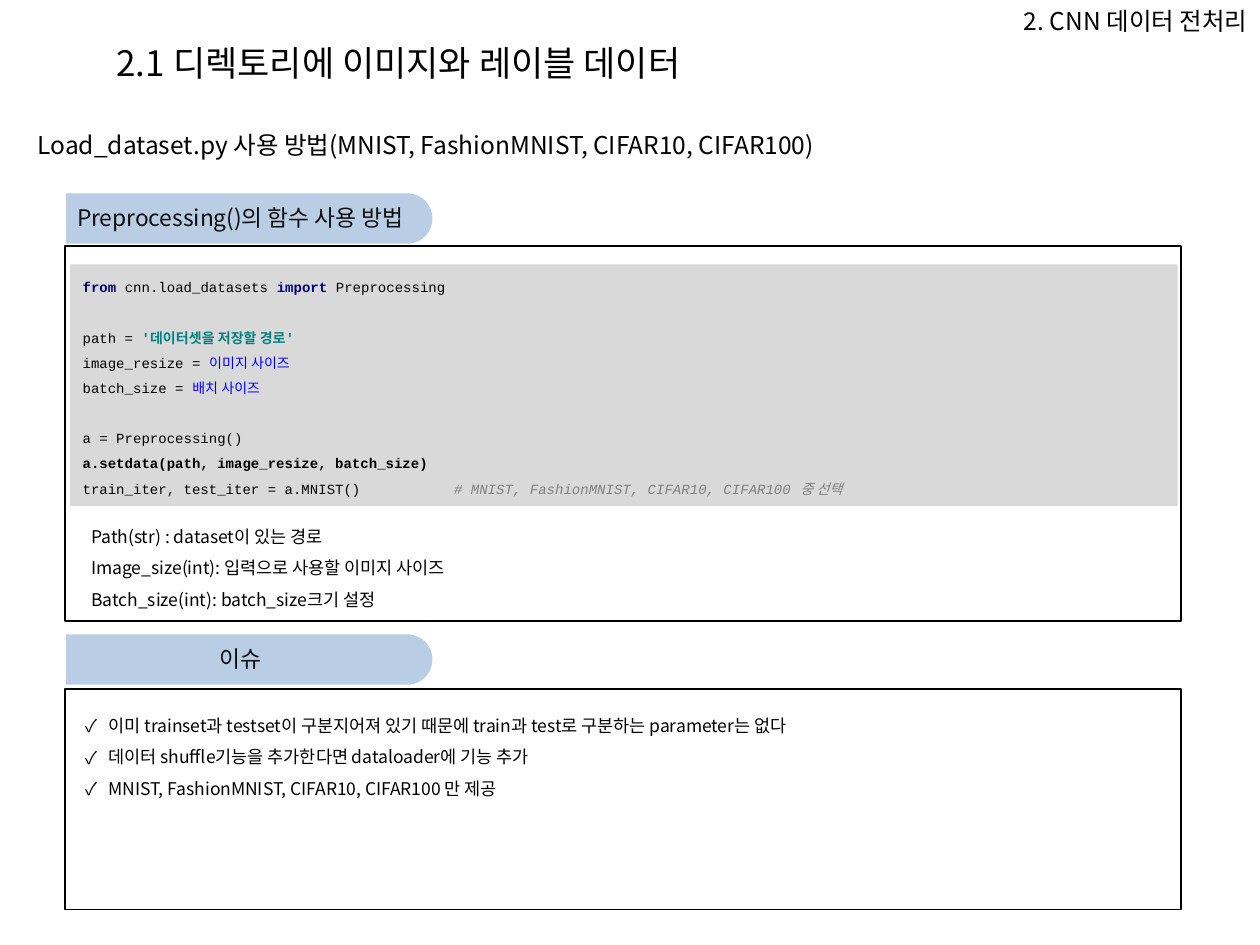
from dataclasses import dataclass
from typing import NamedTuple

from lxml.etree import SubElement
from pptx import Presentation
from pptx.dml.color import RGBColor
from pptx.enum.shapes import MSO_SHAPE as Preset
from pptx.enum.text import MSO_ANCHOR as Anchor, PP_ALIGN as Align
from pptx.oxml.ns import qn
from pptx.util import Pt


@dataclass(frozen=True)
class Theme:
    font: str = "Noto Sans CJK KR"
    code_font: str = "Courier New"
    title: int = 20
    heading: int = 14
    tab: int = 13
    body: int = 10
    code: int = 8
    black: str = "000000"
    tab_text: str = "0D0D0D"
    tab_fill: str = "B9CDE5"
    code_fill: str = "D9D9D9"
    keyword: str = "000080"
    string: str = "008080"
    value: str = "0000FF"
    comment: str = "808080"


THEME = Theme()


class Box(NamedTuple):
    left: float
    top: float
    width: float
    height: float

    def points(self):
        return [Pt(length) for length in self]

    def inside(self, left, top, width, height):
        return Box(self.left + left, self.top + top, width, height)


PLAIN = (THEME.black, False, False)
BOLD = (THEME.black, True, False)
KEYWORD = (THEME.keyword, True, False)
STRING = (THEME.string, True, False)
VALUE = (THEME.value, False, False)
COMMENT = (THEME.comment, False, True)

CODE = [
    [("from ", KEYWORD), ("cnn.load_datasets ", PLAIN), ("import ", KEYWORD), ("Preprocessing", PLAIN)],
    [],
    [("path = ", PLAIN), ("'데이터셋을 저장할 경로'", STRING)],
    [("image_resize = ", PLAIN), ("이미지 사이즈", VALUE)],
    [("batch_size = ", PLAIN), ("배치 사이즈", VALUE)],
    [],
    [("a = Preprocessing()", PLAIN)],
    [("a.setdata(path, image_resize, batch_size)", BOLD)],
    [("train_iter, test_iter = a.MNIST()           ", PLAIN),
     ("# MNIST, FashionMNIST, CIFAR10, CIFAR100 중 선택", COMMENT)],
]
PARAMETERS = [
    "Path(str) : dataset이 있는 경로",
    "Image_size(int): 입력으로 사용할 이미지 사이즈",
    "Batch_size(int): batch_size크기 설정",
]
ISSUES = [
    "이미 trainset과 testset이 구분지어져 있기 때문에 train과 test로 구분하는 parameter는 없다",
    "데이터 shuffle기능을 추가한다면 dataloader에 기능 추가",
    "MNIST, FashionMNIST, CIFAR10, CIFAR100 만 제공",
]


def style_run(run, size, color, font=THEME.font):
    run.font.size = Pt(size)
    run.font.color.rgb = RGBColor.from_string(color)
    run.font.name = font
    east_asian = SubElement(run.font._element, qn("a:ea"), typeface=THEME.font)
    run.font._element.find(qn("a:latin")).addnext(east_asian)


def remove_margins(frame):
    frame.margin_left = frame.margin_right = frame.margin_top = frame.margin_bottom = 0


def write_lines(frame, lines, size, color=THEME.black, align=Align.LEFT):
    frame.word_wrap = True
    frame.text = "\n".join(lines)
    for paragraph in frame.paragraphs:
        paragraph.alignment = align
        for run in paragraph.runs:
            style_run(run, size, color)


def add_text(slide, box, text, size, align=Align.LEFT, anchor=Anchor.TOP):
    frame = slide.shapes.add_textbox(*box.points()).text_frame
    frame.vertical_anchor = anchor
    write_lines(frame, [text], size, align=align)


def add_list(slide, box, lines, bullet=None):
    frame = slide.shapes.add_textbox(*box.points()).text_frame
    remove_margins(frame)
    write_lines(frame, lines, THEME.body)
    for paragraph in frame.paragraphs:
        paragraph.line_spacing = 1.5
        if bullet:
            properties = paragraph._p.get_or_add_pPr()
            indent = Pt(13.5)
            properties.set("marL", str(indent))
            properties.set("indent", str(-indent))
            SubElement(properties, qn("a:buFont"), typeface=THEME.font)
            SubElement(properties, qn("a:buChar"), char=bullet)


def add_block(shapes, preset, box, fill=None):
    shape = shapes.add_shape(preset, *box.points())
    shape.shadow.inherit = False
    if fill:
        shape.fill.solid()
        shape.fill.fore_color.rgb = RGBColor.from_string(fill)
        shape.line.fill.background()
    else:
        shape.fill.background()
        shape.line.color.rgb = RGBColor.from_string(THEME.black)
        shape.line.width = Pt(1)
    return shape


def add_tab(slide, box, text):
    group = slide.shapes.add_group_shape()
    upright = box.inside((box.width - box.height) / 2, (box.height - box.width) / 2,
                         box.height, box.width)
    pill = add_block(group.shapes, Preset.ROUND_2_SAME_RECTANGLE, upright, THEME.tab_fill)
    pill.adjustments[0] = 0.5
    pill.adjustments[1] = 0
    pill.rotation = 90
    label = add_block(group.shapes, Preset.RECTANGLE, box.inside(1, 0.4, 197.3, 26.6), THEME.tab_fill)
    remove_margins(label.text_frame)
    label.text_frame.vertical_anchor = Anchor.MIDDLE
    write_lines(label.text_frame, [text], THEME.tab, THEME.tab_text, Align.CENTER)


def add_code(slide, box):
    frame = add_block(slide.shapes, Preset.RECTANGLE, box, THEME.code_fill).text_frame
    frame.word_wrap = True
    frame.vertical_anchor = Anchor.TOP
    paragraph = frame.paragraphs[0]
    paragraph.alignment = Align.LEFT
    paragraph.line_spacing = 1.5
    for number, line in enumerate(CODE):
        if number:
            paragraph.add_line_break()
            properties = SubElement(paragraph._p[-1], qn("a:rPr"), sz=str(THEME.code * 100))
            SubElement(properties, qn("a:latin"), typeface=THEME.code_font)
        for text, (color, bold, italic) in line:
            run = paragraph.add_run()
            run.text = text
            style_run(run, THEME.code, color, THEME.code_font)
            run.font.bold = bold
            run.font.italic = italic


def add_header(slide, box):
    add_text(slide, box.inside(59.5, 15.1, 538.6, 41), "2.1 디렉토리에 이미지와 레이블 데이터",
             THEME.title, anchor=Anchor.MIDDLE)
    add_text(slide, box.inside(458, 0, 262, 24.5), "2. CNN 데이터 전처리", THEME.heading, Align.RIGHT)
    add_text(slide, box.inside(14.4, 70.6, 692, 24.5),
             "Load_dataset.py 사용 방법(MNIST, FashionMNIST, CIFAR10, CIFAR100)", THEME.heading)


def add_usage(slide, box):
    add_block(slide.shapes, Preset.RECTANGLE, box)
    add_tab(slide, box.inside(0.4, -29.9, 209.5, 28.8), "Preprocessing()의 함수 사용 방법")
    add_code(slide, box.inside(2.9, 10.6, 632.9, 138.2))
    add_list(slide, box.inside(15, 154.1, 607, 54.7), PARAMETERS)


def add_issues(slide, box):
    add_block(slide.shapes, Preset.RECTANGLE, box)
    add_list(slide, box.inside(11.4, 8.7, 615.6, 54.7), ISSUES, "✓")
    add_tab(slide, box.inside(0.4, -31.3, 209.5, 28.8), "이슈")


def main():
    presentation = Presentation()
    presentation.slide_width = Pt(720)
    presentation.slide_height = Pt(540)
    slide = presentation.slides.add_slide(presentation.slide_layouts[6])
    add_header(slide, Box(0, 0, 720, 95))
    add_usage(slide, Box(37.2, 140.4, 637.9, 214.6))
    add_issues(slide, Box(37.2, 393.8, 637.9, 126))
    presentation.save("out.pptx")


if __name__ == "__main__":
    main()
